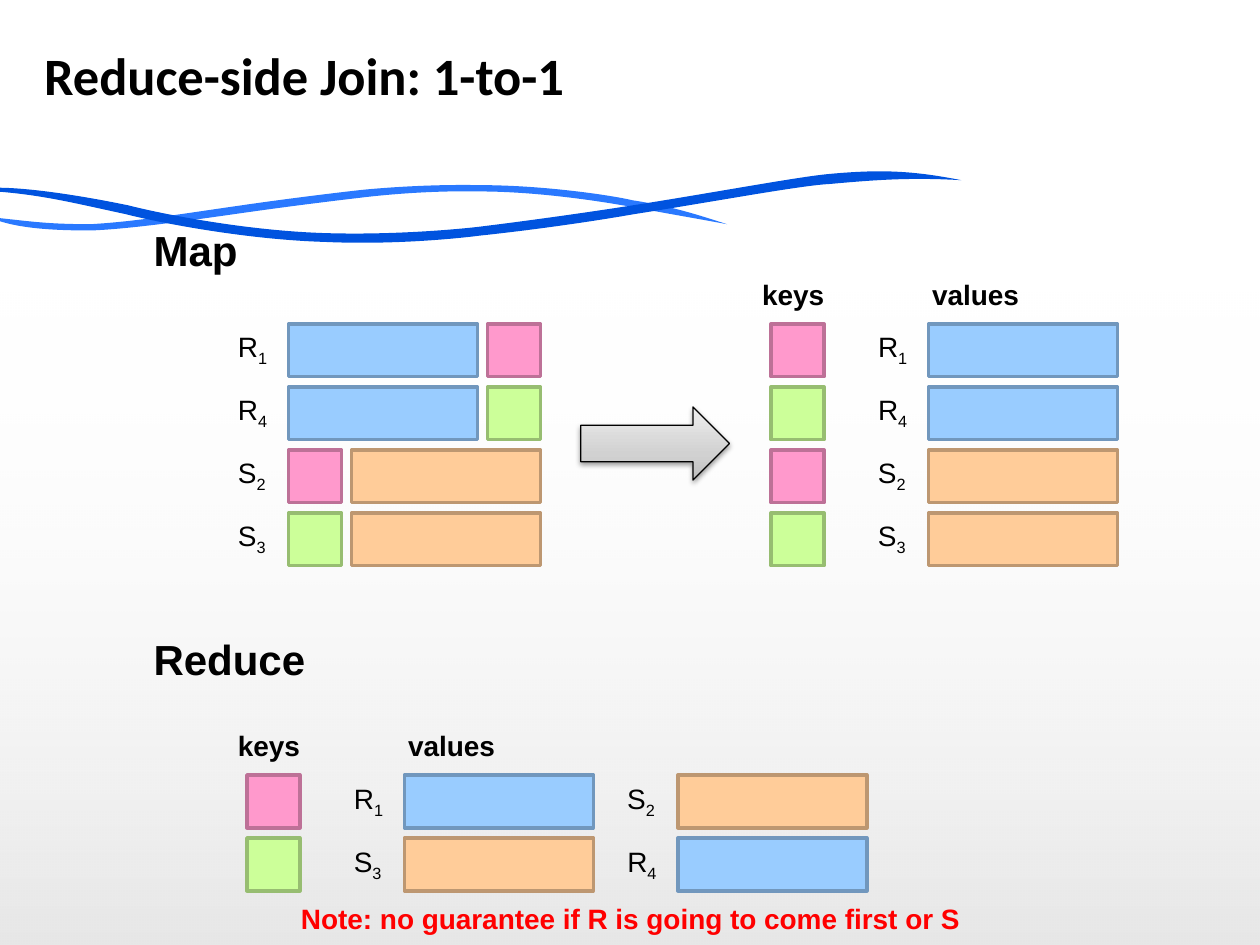
from pptx import Presentation
from pptx.dml.color import RGBColor
from pptx.enum.shapes import MSO_SHAPE
from pptx.enum.text import MSO_ANCHOR, MSO_AUTO_SIZE, PP_ALIGN
from pptx.oxml import parse_xml
from pptx.oxml.ns import nsdecls
from pptx.util import Inches, Pt

RECTANGLE, RIGHT_ARROW = MSO_SHAPE.RECTANGLE, MSO_SHAPE.RIGHT_ARROW
MIDDLE, FIT_SHAPE, LEFT = MSO_ANCHOR.MIDDLE, MSO_AUTO_SIZE.SHAPE_TO_FIT_TEXT, PP_ALIGN.LEFT
BLACK, RED = RGBColor(0, 0, 0), RGBColor(255, 0, 0)
LIGHT_WAVE, DARK_WAVE = RGBColor(0x2A, 0x79, 0xFF), RGBColor(0x00, 0x53, 0xDF)
BLUE = RGBColor(0x99, 0xCC, 0xFF), RGBColor(0x71, 0x97, 0xBD)
ORANGE = RGBColor(0xFF, 0xCC, 0x99), RGBColor(0xBD, 0x97, 0x71)
PINK = RGBColor(0xFF, 0x99, 0xCC), RGBColor(0xBD, 0x71, 0x97)
GREEN = RGBColor(0xCC, 0xFF, 0x99), RGBColor(0x97, 0xBD, 0x71)

ROW, KEY, BAR, LABEL = 0.5, 0.42, 1.5, 0.5
KEY_TO_BAR, BAR_TO_BAR = 1.25, 2.17
RECORD_KEYS = {"R1": PINK, "R4": GREEN, "S2": PINK, "S3": GREEN}
VALUE_COLORS = {"R": BLUE, "S": ORANGE}
LABEL_WIDTHS = {"R": 0.45, "S": 0.43}

LIGHT_CURVE = [
    (-0.02, 1.75), (-0.02, 1.73), (-0.02, 1.73), (-0.02, 1.73), (0.26, 1.76), (0.39, 1.78),
    (0.72, 1.78), (1.07, 1.76), (1.43, 1.7), (1.92, 1.63), (2.4, 1.56), (2.85, 1.51),
    (2.85, 1.51), (2.85, 1.51), (3.3, 1.46), (3.81, 1.47), (4.31, 1.47), (4.85, 1.55),
    (5.02, 1.59), (5.34, 1.64), (5.52, 1.7), (5.77, 1.78), (5.5, 1.73), (5.32, 1.7),
    (5, 1.64), (4.83, 1.61), (4.3, 1.52), (3.8, 1.52), (3.31, 1.51), (2.86, 1.57),
    (2.86, 1.57), (2.86, 1.57), (2.42, 1.62), (1.93, 1.69), (1.44, 1.76), (1, 1.82),
    (0.72, 1.83), (0.48, 1.83), (0.18, 1.82), (-0.02, 1.75)]
DARK_CURVE = [
    (-0.02, 1.52), (-0.02, 1.49), (-0.02, 1.49), (-0.02, 1.49), (0.25, 1.49), (0.68, 1.56),
    (1.02, 1.63), (1.25, 1.69), (1.93, 1.83), (2.58, 1.85), (3.22, 1.87), (3.8, 1.8),
    (3.8, 1.8), (3.8, 1.8), (4.38, 1.73), (5.02, 1.63), (5.66, 1.53), (6.35, 1.4),
    (6.59, 1.38), (7.02, 1.34), (7.27, 1.36), (7.63, 1.43), (7.27, 1.41), (7.02, 1.42),
    (6.59, 1.46), (6.36, 1.47), (5.67, 1.6), (5.03, 1.7), (4.4, 1.81), (3.81, 1.87),
    (3.81, 1.87), (3.81, 1.87), (3.22, 1.95), (2.57, 1.92), (1.93, 1.9), (1.23, 1.76),
    (1, 1.7), (0.58, 1.61), (0.35, 1.55), (-0.02, 1.52)]


def set_font(run, **values):
    """Apply font values and a colour to a run."""
    run.font.color.rgb = values.pop("color", BLACK)
    for name, value in ({"name": "Arial", "size": Pt(16)} | values).items():
        setattr(run.font, name, value)


def add_text(parent, left, top, width, text, height=0.37, subscript="", **font):
    """Add one unwrapped line of text with an optional subscript."""
    box = parent.shapes.add_textbox(*map(Inches, (left, top, width, height)))
    frame = box.text_frame
    frame.word_wrap, frame.auto_size = False, FIT_SHAPE
    paragraph = frame.paragraphs[0]
    run = paragraph.add_run()
    run.text = text
    set_font(run, **font)
    if subscript:
        run = paragraph.add_run()
        run.text = subscript
        set_font(run, **font)
        run.font._element.set("baseline", "-25000")


def add_box(parent, left, top, width, height=KEY, colors=None, kind=RECTANGLE):
    """Add a shape without shadow, with a fill and border pair if given."""
    shape = parent.shapes.add_shape(kind, *map(Inches, (left, top, width, height)))
    shape.shadow.inherit = False
    if colors:
        shape.fill.solid()
        shape.fill.fore_color.rgb, shape.line.color.rgb = colors
        shape.line.width = Pt(2)
    return shape


def add_gradient(shape, stops):
    """Fill a shape upwards with (position, colour, opacity) stops in percent."""
    marks = "".join(
        f'<a:gs pos="{position * 1000}"><a:srgbClr val="{color}">'
        f'<a:alpha val="{opacity * 1000}"/></a:srgbClr></a:gs>'
        for position, color, opacity in stops)
    shape._element.spPr.insert(2, parse_xml(
        f'<a:gradFill {nsdecls("a")} rotWithShape="1"><a:gsLst>{marks}</a:gsLst>'
        '<a:lin ang="16200000" scaled="0"/></a:gradFill>'))


def add_wave(parent, points, color):
    """Draw a closed outline through a chain of cubic Bézier curves."""
    builder = parent.shapes.build_freeform(*map(Inches, points[0]))
    builder.add_line_segments([tuple(map(Inches, point)) for point in points[1:]])
    wave = builder.convert_to_shape()
    segments = wave._element.spPr.findall(".//{*}lnTo")
    for start in range(0, len(segments), 3):
        curve = parse_xml(f'<a:cubicBezTo {nsdecls("a")}/>')
        segments[start].addprevious(curve)
        for segment in segments[start:start + 3]:
            curve.append(segment[0])
            segment.getparent().remove(segment)
    wave.shadow.inherit = False
    wave.fill.solid()
    wave.fill.fore_color.rgb = color
    wave.line.fill.background()


def add_backdrop(slide, width, height):
    """Shade the lower part of the slide and draw the two waves."""
    top = 0.295 * height
    shade = add_box(slide, 0, top, width, height - top)
    add_gradient(shade, [(0, "000000", 10), (100, "FFFFFF", 0)])
    shade.line.fill.background()
    waves = slide.shapes.add_group_shape()
    add_wave(waves, LIGHT_CURVE, LIGHT_WAVE)
    add_wave(waves, DARK_CURVE, DARK_WAVE)


def add_title(slide, text):
    """Place and format the title placeholder."""
    title = slide.shapes.title
    title.left, title.top, title.width, title.height = map(Inches, (0.35, 0, 9.29, 1.19))
    frame = title.text_frame
    frame.text = text
    for side in ("left", "top", "right", "bottom"):
        setattr(frame, f"margin_{side}", 0)
    frame.vertical_anchor = MIDDLE
    frame.paragraphs[0].alignment = LEFT
    set_font(frame.paragraphs[0].runs[0], name="Calibri", size=Pt(30), bold=True)


def add_value(parent, left, top, record, bar_offset=0):
    """Draw the value bar of a record with its label to the left."""
    kind, number = record
    add_box(parent, left + bar_offset, top, BAR, colors=VALUE_COLORS[kind])
    add_text(parent, left - LABEL, top, LABEL_WIDTHS[kind], kind, subscript=number)


def add_input_table(slide, left, top, records):
    """List whole records: R ends with its key and S starts with it."""
    for index, record in enumerate(records):
        y = top + index * ROW
        key_offset, bar_offset = (1.58, 0) if record[0] == "R" else (0, ROW)
        group = slide.shapes.add_group_shape()
        add_value(group, left, y, record, bar_offset)
        add_box(group, left + key_offset, y, KEY, colors=RECORD_KEYS[record])


def add_key_value_table(slide, left, top, rows):
    """Show one key per row, followed by the values that share it."""
    for index, records in enumerate(rows):
        y = top + index * ROW
        for column, record in enumerate(records):
            add_value(slide, left + KEY_TO_BAR + column * BAR_TO_BAR, y, record)
        add_box(slide, left, y, KEY, colors=RECORD_KEYS[records[0]])
    add_text(slide, left - 0.17, top - KEY, 0.7, "keys", bold=True)
    add_text(slide, left + KEY_TO_BAR - 0.07, top - KEY, 0.9, "values", bold=True)


def add_arrow(slide, left, top, width, height):
    """Draw the shaded block arrow between the two map tables."""
    arrow = add_box(slide, left, top, width, height, kind=RIGHT_ARROW)
    add_gradient(arrow, [(0, "BDBDBD", 100), (35, "D1D1D1", 100), (100, "EEEEEE", 100)])
    arrow.line.color.rgb, arrow.line.width = BLACK, Pt(0.75)
    arrow._element.spPr.find("{*}effectLst").append(parse_xml(
        f'<a:outerShdw {nsdecls("a")} blurRad="40000" dist="20000" dir="5400000" '
        'rotWithShape="0"><a:srgbClr val="000000"><a:alpha val="38000"/></a:srgbClr>'
        '</a:outerShdw>'))


def main():
    """Build the slide and save it."""
    presentation = Presentation()
    presentation.slide_width, presentation.slide_height = Inches(10), Inches(7.5)
    slide = presentation.slides.add_slide(presentation.slide_layouts[5])
    records = list(RECORD_KEYS)
    heading = {"height": 0.5, "size": Pt(24), "bold": True}
    add_backdrop(slide, 10, 7.5)
    add_title(slide, "Reduce-side Join: 1-to-1")
    add_input_table(slide, 2.29, 2.57, records)
    add_arrow(slide, 4.61, 3.23, 1.18, 0.58)
    add_key_value_table(slide, 6.12, 2.57, [[record] for record in records])
    add_text(slide, 1.12, 1.73, 0.88, "Map", **heading)
    add_key_value_table(slide, 1.96, 6.15, [["R1", "S2"], ["S3", "R4"]])
    add_text(slide, 1.12, 4.98, 1.42, "Reduce", **heading)
    add_text(slide, 2.29, 7.11, 5.51, "Note: no guarantee if R is going to come first or S",
             color=RED, bold=True)
    presentation.save("out.pptx")


if __name__ == "__main__":
    main()
